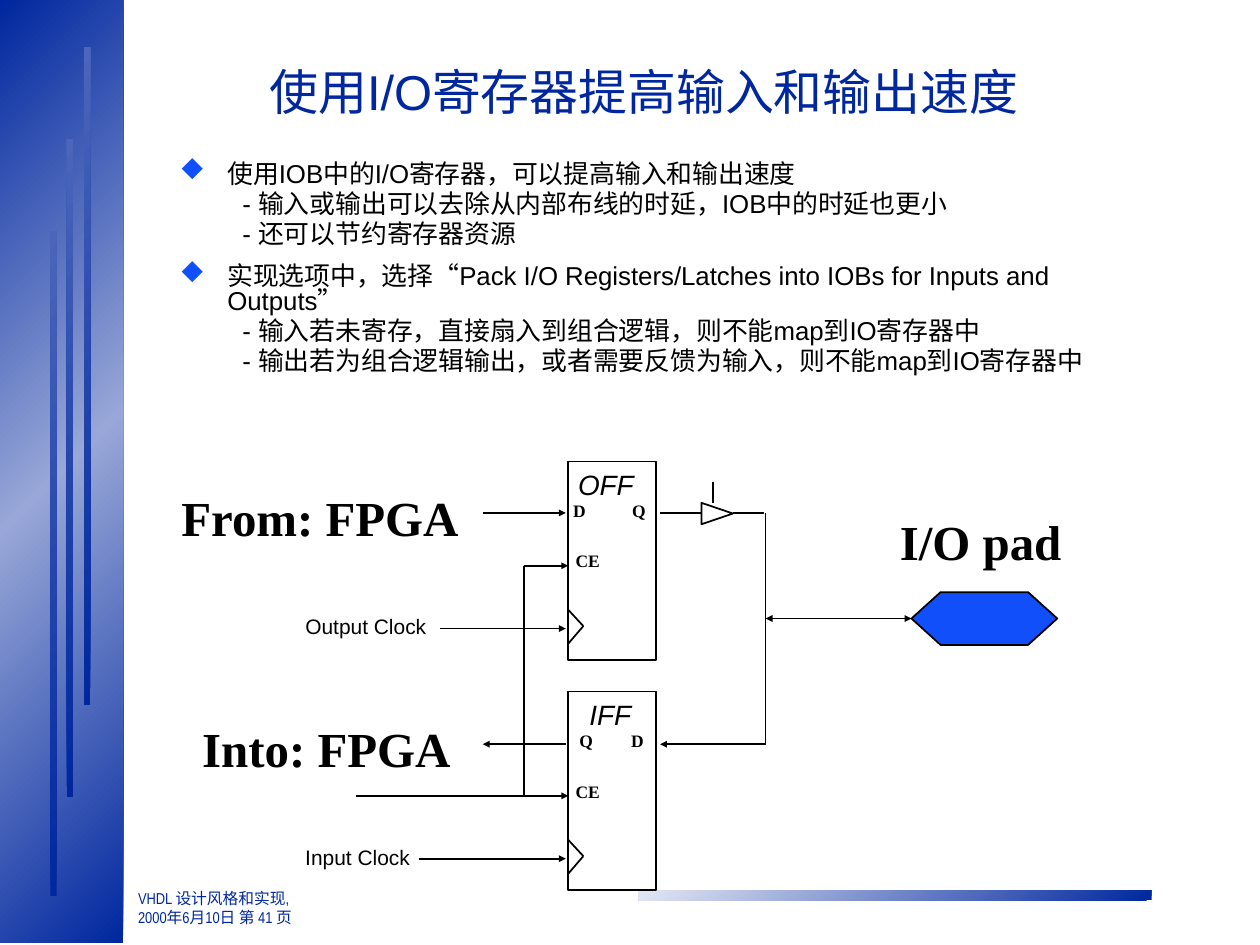
from lxml.etree import SubElement
from pptx import Presentation
from pptx.dml.color import RGBColor
from pptx.enum.shapes import MSO_CONNECTOR, MSO_SHAPE
from pptx.enum.text import MSO_ANCHOR, MSO_AUTO_SIZE, PP_ALIGN
from pptx.oxml.ns import qn
from pptx.util import Pt

PX = 9144
SLIDE_WIDTH, SLIDE_HEIGHT = 9164000, 6873000
NAVY, BLUE, BLACK, WHITE = "00279F", "114FFB", "000000", "FFFFFF"
SANS, SERIF = "Arial", "Times New Roman"

BODY = [
    (0, "使用IOB中的I/O寄存器，可以提高输入和输出速度"),
    (1, "- 输入或输出可以去除从内部布线的时延，IOB中的时延也更小"),
    (1, "- 还可以节约寄存器资源"),
    (0, "实现选项中，选择“Pack I/O Registers/Latches into IOBs for Inputs and Outputs”"),
    (1, "- 输入若未寄存，直接扇入到组合逻辑，则不能map到IO寄存器中"),
    (1, "- 输出若为组合逻辑输出，或者需要反馈为输入，则不能map到IO寄存器中"),
]
ARROWS = [
    (350, 500, 450, 500), (417, 450, 452, 450), (384, 408, 450, 408),
    (333, 683, 450, 683), (283, 633, 452, 633), (609, 592, 525, 592),
    (450, 592, 384, 592), (667, 492, 609, 492),
]
WIRES = [
    (525, 408, 558, 408), (583, 408, 608, 408), (567, 400, 567, 383),
    (609, 592, 609, 408), (417, 450, 417, 633),
]


def rgb(color):
    """Turn a hex string into a colour."""
    return RGBColor.from_string(color)


def box(*lengths):
    """Scale px lengths to EMU."""
    return [n * PX for n in lengths]


def style(p, size, font, color=BLACK, bold=False, italic=False):
    """Format every run of a paragraph."""
    for r in p.runs:
        r.font.size = Pt(size)
        r.font.name = font
        r.font.color.rgb = rgb(color)
        r.font.bold = bold
        r.font.italic = italic


def add_block(slide, kind, left, top, width, height, fill=None, line=None):
    """Add a preset shape with an optional plain fill and outline."""
    sp = slide.shapes.add_shape(kind, *box(left, top, width, height))
    sp.shadow.inherit = False
    if fill:
        sp.fill.solid()
        sp.fill.fore_color.rgb = rgb(fill)
    else:
        sp.fill.background()
    if line:
        sp.line.color.rgb = rgb(line)
        sp.line.width = Pt(1)
    else:
        sp.line.fill.background()
    return sp


def add_gradient(slide, left, top, width, height, colors):
    """Add a rectangle shaded evenly through the given colours."""
    sp = add_block(slide, MSO_SHAPE.RECTANGLE, left, top, width, height)
    sp.fill.gradient()
    sp.fill.gradient_angle = 135
    stops = next(sp._element.spPr.iter(qn("a:gsLst")))
    for stop in list(stops):
        stops.remove(stop)
    for i, color in enumerate(colors):
        stop = SubElement(stops, qn("a:gs"), pos=str(i * 100000 // (len(colors) - 1)))
        SubElement(stop, qn("a:srgbClr"), val=color)


def add_line(slide, x1, y1, x2, y2, arrow=False):
    """Add a thin black line, with a small arrowhead at its end if asked."""
    line = slide.shapes.add_connector(MSO_CONNECTOR.STRAIGHT, *box(x1, y1, x2, y2))
    line.line.color.rgb = rgb(BLACK)
    line.line.width = Pt(1)
    if arrow:
        ln = line._element.spPr.find(qn("a:ln"))
        SubElement(ln, qn("a:tailEnd"), type="triangle", w="sm", len="sm")
    SubElement(line._element.spPr, qn("a:effectLst"))
    return line


def add_label(slide, text, left, top, width, height, size, font=SERIF, italic=False):
    """Add a one-line label: bold and centred in serif, plain in sans."""
    tf = slide.shapes.add_textbox(*box(left, top, width, height)).text_frame
    tf.word_wrap = False
    tf.auto_size = MSO_AUTO_SIZE.SHAPE_TO_FIT_TEXT
    tf.text = text
    p = tf.paragraphs[0]
    p.alignment = PP_ALIGN.CENTER if font == SERIF else PP_ALIGN.LEFT
    style(p, size, font, bold=font == SERIF, italic=italic)


def add_flip_flop(slide, top, name, name_left, name_width, pins):
    """Add a register with its name, pins and clock notch."""
    add_block(slide, MSO_SHAPE.RECTANGLE, 452, top, 70, 158, WHITE, BLACK)
    add_line(slide, 452, top + 118, 464, top + 131)
    add_line(slide, 464, top + 131, 452, top + 145)
    for pin, left in pins:
        add_label(slide, pin, left, top + 26, 30, 27, 10)
    add_label(slide, "CE", 448, top + 66, 39, 27, 10)
    add_label(slide, name, name_left, top, name_width, 37, 16, SANS, italic=True)


def add_frame(slide):
    """Add the side panel, its bars, the bottom bar and the footer."""
    tf = slide.shapes.add_textbox(*box(100, 702, 300, 40)).text_frame
    tf.word_wrap = True
    tf.text = "VHDL 设计风格和实现,\n2000年6月10日 第 41 页"
    for p in tf.paragraphs:
        style(p, 9, "Arial Narrow", NAVY)
    add_gradient(slide, 508, 708, 408, 8, [NAVY, "E4E8F4"])
    add_gradient(slide, 0, 0, 98, 750, [NAVY, "98A7D7", NAVY])
    for left, top, height in [(40, 184, 529), (53, 111, 523), (67, 38, 523)]:
        add_gradient(slide, left, top, 5, height, [NAVY, "4B66BA"])


def set_title(slide, text):
    """Place and format the title."""
    sp = slide.shapes.title
    sp.left, sp.top, sp.width, sp.height = box(108, 32, 808, 88)
    tf = sp.text_frame
    tf.text = text
    tf.auto_size = MSO_AUTO_SIZE.NONE
    tf.vertical_anchor = MSO_ANCHOR.MIDDLE
    p = tf.paragraphs[0]
    p.alignment = PP_ALIGN.CENTER
    p.line_spacing = 0.85
    style(p, 28, SANS, NAVY)


def add_body(slide):
    """Add the two-level list."""
    tf = slide.shapes.add_textbox(*box(133, 125, 799, 200)).text_frame
    tf.word_wrap = True
    tf.text = "\n".join(text for _, text in BODY)
    for p, (level, _) in zip(tf.paragraphs, BODY):
        p.level = level
        p.line_spacing = 0.8
        p.space_before = Pt(3 if level else 10)
        style(p, 14.8, SANS)
        margin, indent = (100, -50) if level else (38, -38)
        pPr = p._p.get_or_add_pPr()
        pPr.set("marL", str(margin * PX))
        pPr.set("indent", str(indent * PX))
        if level == 0:
            SubElement(SubElement(pPr, qn("a:buClr")), qn("a:srgbClr"), val=BLUE)
            SubElement(pPr, qn("a:buFont"), typeface="Wingdings", charset="2")
            SubElement(pPr, qn("a:buChar"), char="u")


def add_circuit(slide):
    """Add the registers, buffer, pad, wires and labels."""
    add_flip_flop(slide, 367, "OFF", 450, 66, [("D", 446), ("Q", 493)])
    add_flip_flop(slide, 550, "IFF", 459, 56, [("Q", 451), ("D", 492)])
    for ends in ARROWS:
        add_line(slide, *ends, arrow=True)
    for ends in WIRES:
        add_line(slide, *ends)
    buffer = add_block(slide, MSO_SHAPE.ISOSCELES_TRIANGLE, 562, 396, 17, 25, line=BLACK)
    buffer.rotation = 90
    pad = add_block(slide, MSO_SHAPE.FLOWCHART_PREPARATION, 725, 471, 116, 42, BLUE, BLACK)
    add_line(slide, 667, 492, 725, 492, arrow=True).end_connect(pad, 1)
    add_label(slide, "I/O pad", 704, 402, 152, 57, 28)
    add_label(slide, "From: FPGA", 132, 383, 245, 57, 28)
    add_label(slide, "Into: FPGA", 149, 567, 221, 57, 28)
    add_label(slide, "Output Clock", 233, 483, 119, 30, 12, SANS)
    add_label(slide, "Input Clock", 233, 667, 106, 30, 12, SANS)


def main():
    """Build and save the slide."""
    prs = Presentation()
    prs.slide_width, prs.slide_height = SLIDE_WIDTH, SLIDE_HEIGHT
    slide = prs.slides.add_slide(prs.slide_layouts[5])
    add_frame(slide)
    set_title(slide, "使用I/O寄存器提高输入和输出速度")
    add_body(slide)
    add_circuit(slide)
    prs.save("out.pptx")


if __name__ == "__main__":
    main()
